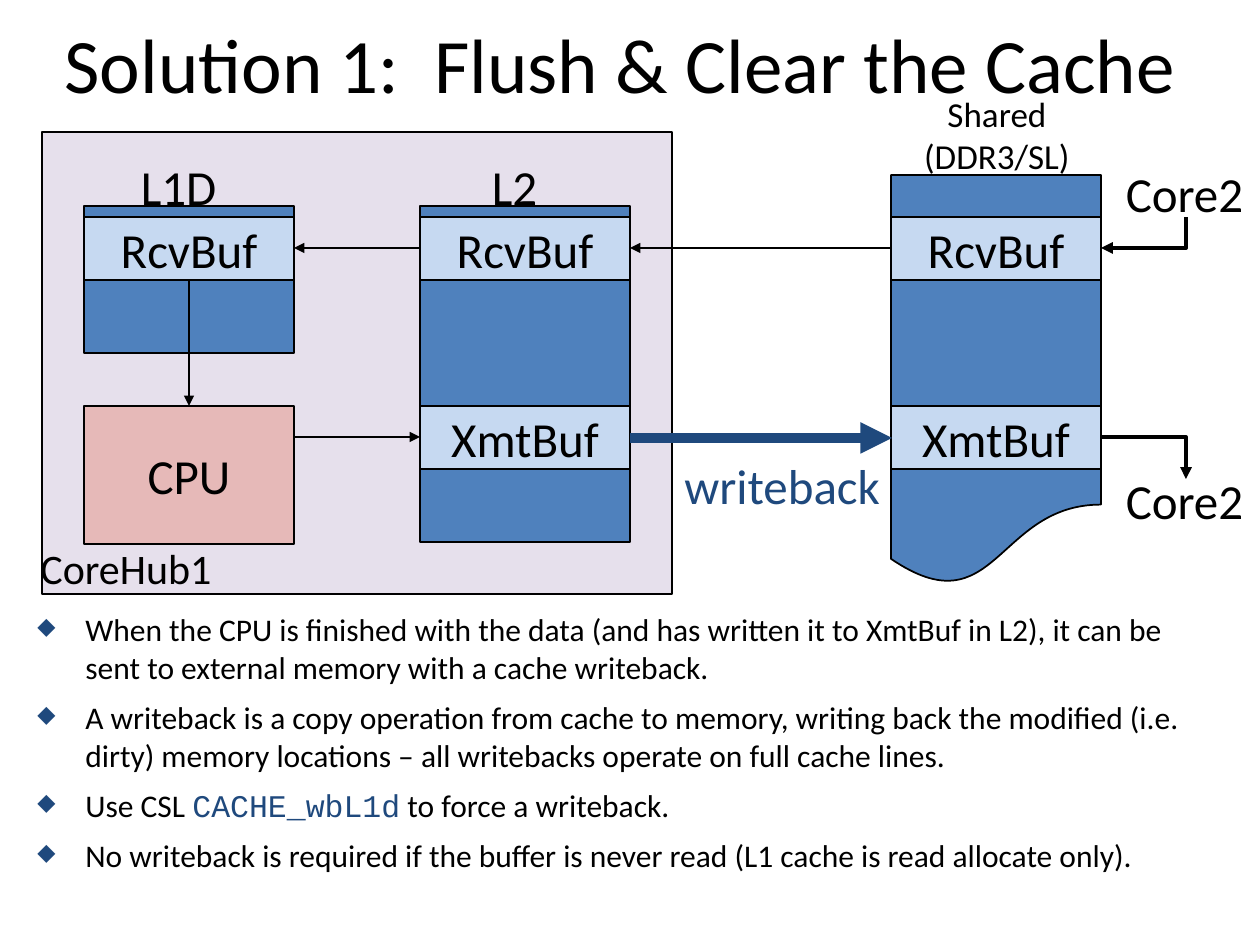
"""Build the slide on flushing and clearing the cache."""
from dataclasses import dataclass

from lxml.etree import SubElement
from pptx import Presentation
from pptx.dml.color import RGBColor
from pptx.enum.shapes import MSO_CONNECTOR, MSO_SHAPE
from pptx.enum.text import MSO_ANCHOR, MSO_AUTO_SIZE, PP_ALIGN
from pptx.oxml.ns import qn
from pptx.util import Emu, Pt

SCALE = 914400 / 126
COLORS = {
    "black": "000000", "navy": "1F497D", "blue": "4F81BD",
    "pale": "C6D9F1", "mauve": "E6E0EC", "rose": "E6B9B8",
}
LEFT, MID, RIGHT, WIDE = 84, 420, 891, 210
RCV, XMT, TALL = 217, 406, 63


@dataclass
class Block:
    left: int
    top: int
    width: int
    height: int
    fill: str
    text: str = ""
    kind: MSO_SHAPE = MSO_SHAPE.RECTANGLE


@dataclass
class Label:
    left: int
    top: int
    width: int
    height: int
    text: str
    size: int = 28
    color: str = "black"
    align: PP_ALIGN = PP_ALIGN.CENTER
    anchor: MSO_ANCHOR = MSO_ANCHOR.MIDDLE


@dataclass
class Arrow:
    start: tuple[int, int]
    stop: tuple[int, int]
    weight: float = 1
    color: str = "black"
    bent: bool = False
    tip: str = "tailEnd"


BLOCKS = [
    Block(RIGHT, 175, WIDE, 411, "blue", kind=MSO_SHAPE.FLOWCHART_DOCUMENT),
    Block(42, 132, 630, 462, "mauve"),
    Block(MID, 206, WIDE, 336, "blue"),
    Block(LEFT, XMT, WIDE, 138, "rose", "CPU"),
    Block(LEFT, 206, WIDE, 147, "blue"),
    *[Block(x, RCV, WIDE, TALL, "pale", "RcvBuf") for x in (LEFT, MID, RIGHT)],
    *[Block(x, XMT, WIDE, TALL, "pale", "XmtBuf") for x in (MID, RIGHT)],
]
LABELS = [
    Label(441, 151, 147, 69, "L2"),
    Label(105, 151, 147, 69, "L1D"),
    Label(672, 449, 229, 72, "writeback", color="navy",
          align=PP_ALIGN.LEFT, anchor=MSO_ANCHOR.TOP),
    Label(1111, 169, 147, 48, "Core2"),
    Label(1111, 476, 147, 48, "Core2"),
    Label(847, 100, 300, 69, "Shared\v(DDR3/SL)", 20),
    Label(26, 544, 200, 48, "CoreHub1", 24),
]
ARROWS = [
    Arrow((1101, 248), (1186, 217), 2.25, bent=True, tip="headEnd"),
    Arrow((RIGHT, 248), (630, 248), 1.5),
    Arrow((MID, 248), (294, 248)),
    Arrow((189, 280), (189, XMT)),
    Arrow((294, 437), (MID, 437)),
    Arrow((1101, 437), (1186, 479), 2.25, bent=True),
    Arrow((630, 438), (892, 438), 6, "navy"),
]
POINTS = [
    ["When the CPU is finished with the data (and has written it to XmtBuf "
     "in L2), it can be sent to external memory with a cache writeback."],
    ["A writeback is a copy operation from cache to memory, writing back the "
     "modified (i.e. dirty) memory locations – all writebacks operate on "
     "full cache lines."],
    ["Use CSL ", "CACHE_wbL1d", " to force a writeback."],
    ["No writeback is required if the buffer is never read (L1 cache is read "
     "allocate only)."],
]


def px(*spans: int) -> list[Emu]:
    return [Emu(round(span * SCALE)) for span in spans]


def paint(name: str) -> RGBColor:
    return RGBColor.from_string(COLORS[name])


def write(para, text: str, *, size: int = 28, color: str = "black",
          font: str = "Calibri", align: PP_ALIGN = PP_ALIGN.CENTER) -> None:
    para.alignment = align
    for count, part in enumerate(text.split("\v")):
        if count:
            para.add_line_break()
        run = para.add_run()
        run.text = part
        run.font.size = Pt(size)
        run.font.name = font
        run.font.color.rgb = paint(color)


def draw_block(slide, block: Block) -> None:
    shape = slide.shapes.add_shape(
        block.kind, *px(block.left, block.top, block.width, block.height))
    shape.shadow.inherit = False
    shape.fill.solid()
    shape.fill.fore_color.rgb = paint(block.fill)
    shape.line.color.rgb = paint("black")
    shape.line.width = Pt(1)
    if block.text:
        frame = shape.text_frame
        frame.word_wrap = False
        frame.vertical_anchor = MSO_ANCHOR.MIDDLE
        write(frame.paragraphs[0], block.text)


def draw_label(slide, label: Label) -> None:
    box = slide.shapes.add_textbox(
        *px(label.left, label.top, label.width, label.height))
    frame = box.text_frame
    frame.word_wrap = "\v" in label.text
    frame.vertical_anchor = label.anchor
    write(frame.paragraphs[0], label.text, size=label.size,
          color=label.color, align=label.align)


def draw_arrow(slide, arrow: Arrow) -> None:
    kind = MSO_CONNECTOR.ELBOW if arrow.bent else MSO_CONNECTOR.STRAIGHT
    link = slide.shapes.add_connector(kind, *px(*arrow.start, *arrow.stop))
    link.line.color.rgb = paint(arrow.color)
    link.line.width = Pt(arrow.weight)
    props = link._element.spPr
    if arrow.bent:
        props.find(qn("a:prstGeom")).set("prst", "bentConnector2")
    SubElement(props.find(qn("a:ln")), qn(f"a:{arrow.tip}"), type="triangle")
    SubElement(props, qn("a:effectLst"))


def add_bullet(para) -> None:
    props = para._p.get_or_add_pPr()
    indent = px(48)[0]
    props.set("marL", str(indent))
    props.set("indent", str(-indent))
    tint = SubElement(props, qn("a:buClr"))
    SubElement(tint, qn("a:srgbClr"), val=COLORS["navy"])
    SubElement(props, qn("a:buSzPct"), val="75000")
    SubElement(props, qn("a:buChar"), char="◆")
    tabs = SubElement(props, qn("a:tabLst"))
    SubElement(tabs, qn("a:tab"), pos=str(2 * indent), algn="l")


def draw_points(slide) -> None:
    frame = slide.shapes.add_textbox(*px(25, 604, 1201, 287)).text_frame
    frame.word_wrap = True
    for count, parts in enumerate(POINTS):
        para = frame.add_paragraph() if count else frame.paragraphs[0]
        add_bullet(para)
        if count:
            para.space_before = Pt(7)
        for part in parts:
            code = part.startswith("CACHE_")
            write(para, part, size=18, align=PP_ALIGN.LEFT,
                  color="navy" if code else "black",
                  font="Courier New" if code else "Calibri")


def main() -> None:
    deck = Presentation()
    deck.slide_width, deck.slide_height = px(1260, 945)
    slide = deck.slides.add_slide(deck.slide_layouts[5])
    title = slide.shapes.title
    title.left, title.top, title.width, title.height = px(24, 10, 1193, 105)
    title.text_frame.auto_size = MSO_AUTO_SIZE.NONE
    title.text_frame.vertical_anchor = MSO_ANCHOR.MIDDLE
    write(title.text_frame.paragraphs[0],
          "Solution 1:  Flush & Clear the Cache", size=44)
    for block in BLOCKS:
        draw_block(slide, block)
    for arrow in ARROWS:
        draw_arrow(slide, arrow)
    draw_points(slide)
    for label in LABELS:
        draw_label(slide, label)
    deck.save("out.pptx")


if __name__ == "__main__":
    main()
